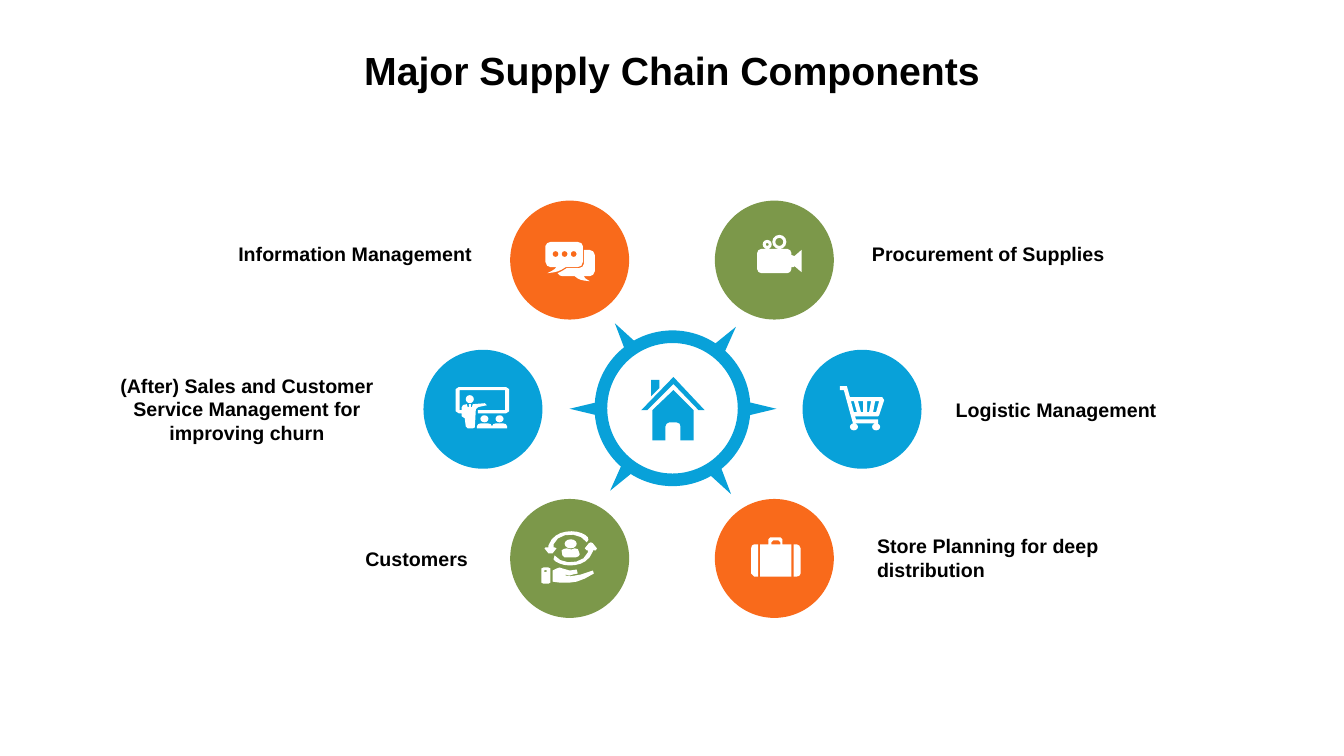
import math

import pptx
import pptx.dml.color
import pptx.enum.shapes
import pptx.enum.text
import pptx.util

Inches, Pt = pptx.util.Inches, pptx.util.Pt
RGB = pptx.dml.color.RGBColor.from_string
MSO, ALIGN = pptx.enum.shapes.MSO_SHAPE, pptx.enum.text.PP_ALIGN
ANCHOR, AUTO = pptx.enum.text.MSO_ANCHOR, pptx.enum.text.MSO_AUTO_SIZE

COLORS = {"blue": "08A1D9", "green": "7C984A", "orange": "F96A1B",
          "white": "FFFFFF", "black": "000000"}

# Icon outlines in hundredths of an inch. Steps are split by commas:
# 2 numbers = line to, 6 = cubic curve to, 4 = whole ellipse (cx cy rx ry).
HOUSE = [
    "32 13, 52 33, 52 63, 39 63, 39 49, 39 47 38 45 35 45, 28 45, "
    "26 45 24 47 24 49, 24 63, 11 63, 11 33",
    "10 3, 18 3, 18 11, 10 19",
    "32 0, 63 33, 57 33, 32 7, 6 33, 0 33",
]
CAMERA = [
    "10 9.5 1.5 1.5", "22 7 4 4", "22 7 7 7", "10 9.5 4.5 4.5",
    "4 14, 30 14, 32 14 34 16 34 18, 34 20, 37 21, 44 15, 44 37, 37 31, "
    "36 32, 34 32, 34 34, 34 36 32 38 30 38, 4 38, "
    "2 38 0 36 0 34, 0 18, 0 16 2 14 4 14",
]
SUITCASE = [
    "42 7, 45 7, 47 7 49 9 49 11, 49 36, 49 38 47 39 45 39, 42 39",
    "3 7, 7 7, 7 39, 3 39, 1 39 0 38 0 36, 0 11, 0 9 1 7 3 7",
    "22 3, 20 5, 20 7, 29 7, 29 5, 27 3",
    "19 0, 29 0, 31 2, 31 7, 40 7, 40 39, 9 39, 9 7, 17 7, 17 2",
]
CHAT = [
    "28 12 3 3", "19 12 3 3", "10 12 3 3",
    "38 8, 44 8, 46 8 49 10 49 13, 49 29, 49 32 46 34 44 34, 38 34, "
    "39 35 39 37 44 39, 35 38 34 38 29 34, 17 34, 15 34 13 33 12 31, "
    "15 30 18 28 21 26, 33 26, 36 26 38 24 38 22",
    "5 0, 32 0, 35 0 37 2 37 4, 37 20, 37 23 35 25 32 25, 20 25, "
    "14 29 12 30 2 31, 8 28 8 28 11 25, 5 25, 3 25 0 23 0 20, 0 4, 0 2 3 0 5 0",
]
CART = [
    "35 15, 33 26, 36 26, 39 15", "27 15, 27 26, 29 26, 31 15",
    "18 15, 21 26, 23 26, 23 15", "11 15, 14 26, 17 26, 14 15",
    "7 0, 10 11, 42 11, 44 14, 39 29, 38 30, 15 30, "
    "16 33, 38 33, 38 37, 13 37, 4 4, 0 4, 0 0",
    "36 40.5 4 3.5", "14 40.5 4 3.5",
]
CARE = [
    "4 39.5 1.5 1",
    "18 36, 21 37, 28 39, 35 38, 39 37 42 41 36 42, 31 43, 28 44, "
    "24 43, 22 43 23 43 24 44, 28 45 30 45 33 44, 39 43, "
    "51 39, 53 38 57 40 52 42, 43 47, 35 50, 28 51, 18 51, 11 50, 11 39, 15 37",
    "2 36, 7 36, 9 37, 9 51, 7 52, 2 52, 0 51, 0 37",
    "33 17, 36 17 37 18 37 20, 38 23, 37 25 37 25 34 26, "
    "31 26 27 26 23 26, 21 25 20 24 20 19, 21 18 23 17 25 17, 29 19 31 18 33 17",
    "49 11, 51 12, 55 17, 56 18 56 19 54 19, 51 19, 51 20, "
    "47 31 37 34 28 34, 21 34 14 31 12 28, 11 27 11 25 13 24, "
    "20 34 42 33 46 21, 46 19, 45 19, 42 19 42 18 43 17, 47 12",
    "29 12.5 6 4.5",
    "30 0, 37 0 44 3 46 6, 47 8 47 9 45 11, 38 0 16 1 12 13, 12 16, 13 16, "
    "16 15 16 16 15 17, 11 22, 9 24 8 23 7 22, 3 17, 2 16 2 16 4 16, 7 16, "
    "7 14, 11 3 21 0 30 0",
]
BOARD = [
    "40 36, 47 36, 49 36 51 37 51 39, 51 41, 36 41, 36 39, 36 37 38 36 40 36",
    "25 36, 32 36, 34 36 36 37 36 39, 36 41, 21 41, 21 39, 21 37 23 36 25 36",
    "43.5 31.5 4 3.5", "28.5 31.5 4 3.5", "14 12 4 4",
    "3 0, 50 0, 53 2, 53 24, 50 26, 22 26, 22 23, 49 23, "
    "49 3, 4 3, 4 23, 6 23, 6 20, 6 18 8 17 11 17, 12 20, 13 20, 13 17, 15 17, "
    "15 20, 16 20, 17 17, 29 16, 32 16 32 18 31 18, 29 19 20 19 20 22, "
    "19 40, 17 41, 12 41, 10 39, 9 31, 6 29, 6 26, 3 26, 0 24, 0 2",
]


def paint(sp, color):
    sp.shadow.inherit = False
    sp.fill.solid()
    sp.fill.fore_color.rgb = RGB(COLORS[color])
    sp.line.fill.background()


def draw_icon(x, y, outlines, color):
    contours = []
    for outline in outlines:
        pts = []
        for step in outline.split(","):
            n = [float(v) * 100 for v in step.split()]
            if len(n) == 2:
                pts.append(tuple(n))
            elif len(n) == 4:
                cx, cy, rx, ry = n
                count = 12 if rx > 300 else 8
                angles = [math.tau * i / count for i in range(count)]
                pts += [(cx + rx * math.cos(a), cy + ry * math.sin(a)) for a in angles]
            else:
                # Longer curves get more points
                ctrl = [pts[-1], n[:2], n[2:4], n[4:]]
                count = min(5, 1 + int(math.dist(ctrl[0], ctrl[3]) / 500))
                for t in [i / count for i in range(1, count + 1)]:
                    w = [math.comb(3, k) * t**k * (1 - t)**(3 - k) for k in range(4)]
                    pts.append(tuple(sum(w[k] * ctrl[k][d] for k in range(4)) for d in (0, 1)))
        contours.append(pts)
    fb = s.shapes.build_freeform(*contours[0][0], scale=Inches(1) / 10000)
    for i, pts in enumerate(contours):
        if i:
            fb.move_to(*pts[0])
        fb.add_line_segments(pts[1:], close=True)
    paint(fb.convert_to_shape(Inches(x), Inches(y)), color)


prs = pptx.Presentation()
prs.slide_width, prs.slide_height = Inches(13.33), Inches(7.5)
s = prs.slides.add_slide(prs.slide_layouts[5])

# Title
title = s.shapes.title
title.left, title.top, title.width, title.height = 0, 0, prs.slide_width, Inches(1.39)

# Hub: three rotated diamonds make six spikes behind a ring
HUB_X, HUB_Y = 6.67, 4.05
for angle in (127.5, 180, 235.8):
    sp = s.shapes.add_shape(MSO.FLOWCHART_DECISION, Inches(HUB_X - 1.02), Inches(HUB_Y - 0.24),
                            Inches(2.05), Inches(0.49))
    sp.rotation = angle
    paint(sp, "blue")
ring = s.shapes.add_shape(MSO.OVAL, Inches(HUB_X - 0.71), Inches(HUB_Y - 0.71),
                          Inches(1.42), Inches(1.42))
paint(ring, "white")
ring.line.color.rgb = RGB(COLORS["blue"])
ring.line.width = Pt(9)
draw_icon(6.36, 3.74, HOUSE, "blue")

# Components: column offset, row, colour, icon and its place
components = [
    (1.01, -1, "green", CAMERA, 7.51, 2.33),
    (1.88, 0, "blue", CART, 8.33, 3.83),
    (1.01, 1, "orange", SUITCASE, 7.45, 5.33),
    (-1.02, 1, "green", CARE, 5.37, 5.27),
    (-1.88, 0, "blue", BOARD, 4.52, 3.84),
    (-1.02, -1, "orange", CHAT, 5.41, 2.4),
]
for dx, row, color, icon, x, y in components:
    sp = s.shapes.add_shape(MSO.OVAL, Inches(HUB_X + dx - 0.59),
                            Inches(HUB_Y + 1.48 * row - 0.58), Inches(1.18), Inches(1.18))
    paint(sp, color)
    draw_icon(x, y, icon, "white")

# Labels
labels = [
    (8.55, 2.35, 0.34, ALIGN.LEFT, "Procurement of Supplies"),
    (9.38, 3.89, 0.34, ALIGN.LEFT, "Logistic Management"),
    (8.6, 5.25, 0.57, ALIGN.LEFT, "Store Planning for deep distribution"),
    (1.56, 5.37, 0.34, ALIGN.RIGHT, "Customers"),
    (0.86, 3.65, 0.81, ALIGN.CENTER,
     "(After) Sales and Customer Service Management for improving churn"),
    (1.6, 2.35, 0.34, ALIGN.RIGHT, "Information Management"),
]
texts = [(title, ALIGN.CENTER, "Major Supply Chain Components", 28)]
for x, y, h, align, text in labels:
    box = s.shapes.add_textbox(Inches(x), Inches(y), Inches(3.18), Inches(h))
    box.text_frame.auto_size = AUTO.SHAPE_TO_FIT_TEXT
    texts.append((box, align, text, 14))
for sp, align, text, size in texts:
    tf = sp.text_frame
    tf.word_wrap = True
    tf.vertical_anchor = ANCHOR.MIDDLE
    p = tf.paragraphs[0]
    p.alignment = align
    r = p.add_run()
    r.text = text
    r.font.name, r.font.size, r.font.bold = "Arial", Pt(size), True
    r.font.color.rgb = RGB(COLORS["black"])

prs.save("out.pptx")
